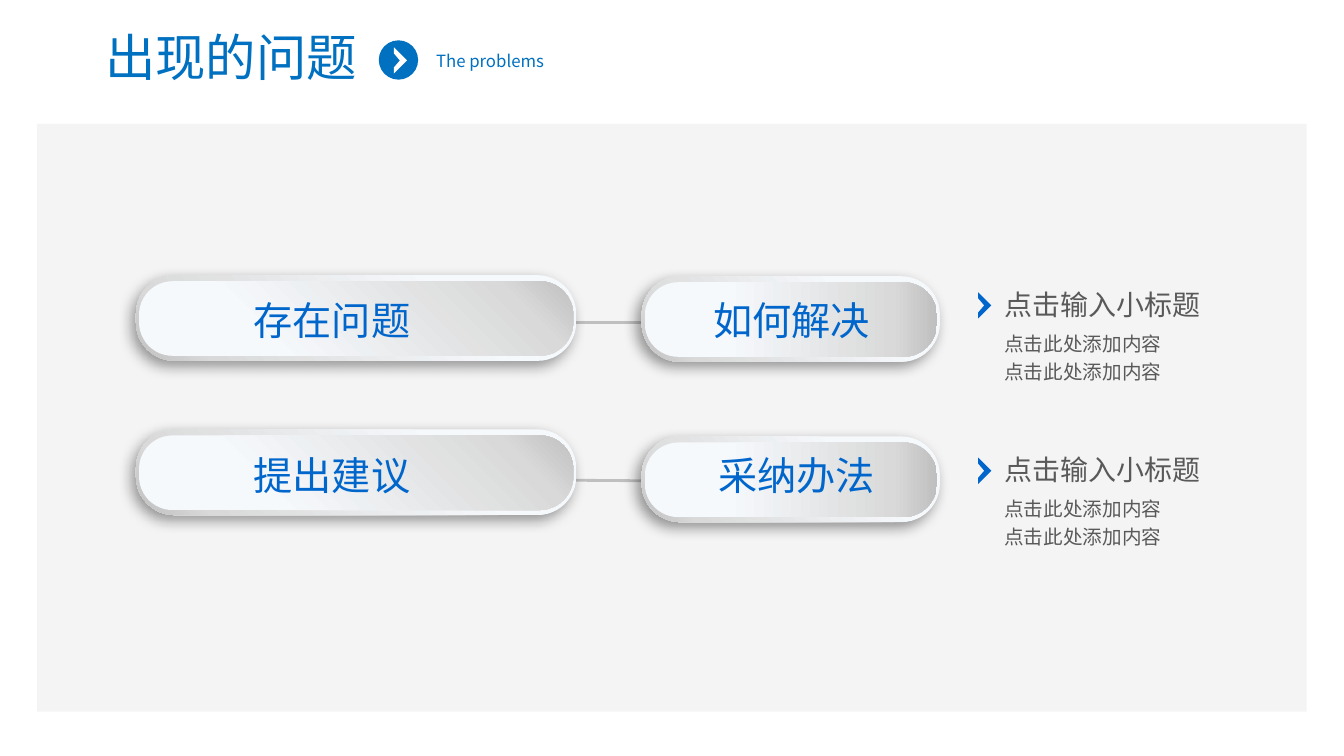
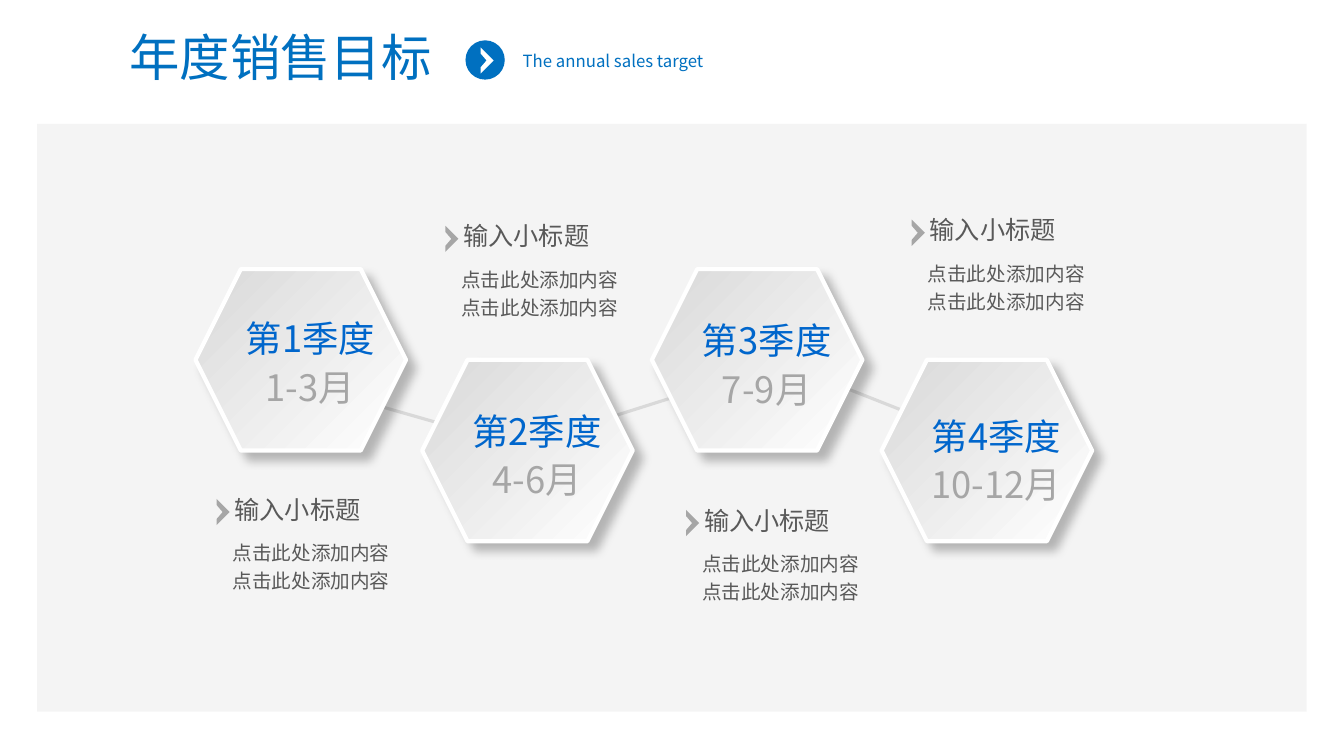
from lxml.etree import SubElement
from pptx import Presentation
from pptx.dml.color import RGBColor
from pptx.enum.shapes import MSO_CONNECTOR, MSO_SHAPE
from pptx.enum.text import MSO_AUTO_SIZE, PP_ALIGN
from pptx.oxml.ns import qn
from pptx.util import Inches, Pt

FONT = "Noto Sans CJK SC"
COLORS = {
    "title": "0070C0",
    "accent": "0066CC",
    "text": "595959",
    "muted": "A6A6A6",
    "panel": "F2F2F2",
    "white": "FFFFFF",
    "pill_link": "BFBFBF",
    "hexagon_link": "D9D9D9",
    "shadow": "000000",
}
PILL_STOPS = [(28, "F6F9FC"), (85, "D9D9D9"), (100, "BFBFBF")]
HEXAGON_STOPS = [(0, "D9D9D9"), (100, "FFFFFF")]
CHEVRON = [(0, 0), (0.13, 0.13), (0, 0.26), (0, 0.2), (0.06, 0.13), (0, 0.06)]
BODY = ["点击此处添加内容", "点击此处添加内容"]

PROBLEMS = {"title": "出现的问题", "subtitle": "The problems", "title_width": 3.07, "badge_left": 3.76}
PILL_LINKS = [(5.25, 3.2, 6.83, 3.2), (5.09, 4.76, 6.42, 4.77)]
PILLS = [
    ("存在问题", 1.35, 2.73, 4.37, 315, 2.13, 2.89),
    ("提出建议", 1.35, 4.26, 4.37, 315, 2.13, 4.43),
    ("如何解决", 6.37, 2.74, 2.96, 0, 6.69, 2.89),
    ("采纳办法", 6.37, 4.33, 2.96, 0, 6.74, 4.43),
]
PROBLEM_NOTE = {
    "heading": "点击输入小标题", "size": 20, "color": "accent",
    "heading_offset": (0.16, -0.1), "body_offset": (0.16, 0.3), "width": 2.71,
}
PROBLEM_NOTE_PLACES = [(9.71, 2.9), (9.71, 4.54)]

TARGETS = {"title": "年度销售目标", "subtitle": "The annual sales target", "title_width": 4.05, "badge_left": 4.62}
HEXAGON_LINKS = [(4.82, 4.33, 3.7, 4.01), (6.94, 3.86, 5.96, 4.17), (9.13, 4.14, 8.42, 3.86)]
QUARTERS = [
    ("第1季度", "1-3月", 1.94, 2.67, 0.42),
    ("第2季度", "4-6月", 4.19, 3.57, 0.44),
    ("第3季度", "7-9月", 6.47, 2.67, 0.44),
    ("第4季度", "10-12月", 8.75, 3.57, 0.49),
]
QUARTER_NOTE = {
    "heading": "输入小标题", "size": 18, "color": "muted",
    "heading_offset": (0.08, -0.1), "body_offset": (0.06, 0.32), "width": 1.78,
}
QUARTER_NOTE_PLACES = [(2.15, 4.95), (4.42, 2.24), (9.05, 2.18), (6.81, 5.06)]


def rgb(name):
    return RGBColor.from_string(COLORS[name])


def add_text(slide, lines, left, top, width, height, size, color, centered=False, spacing=None):
    box = slide.shapes.add_textbox(Inches(left), Inches(top), Inches(width), Inches(height))
    frame = box.text_frame
    frame.word_wrap = True
    frame.auto_size = MSO_AUTO_SIZE.SHAPE_TO_FIT_TEXT
    frame.text = "\n".join(lines)
    for paragraph in frame.paragraphs:
        paragraph.alignment = PP_ALIGN.CENTER if centered else PP_ALIGN.LEFT
        if spacing:
            paragraph.line_spacing = Pt(spacing)
        paragraph.font.name = FONT
        paragraph.font.size = Pt(size)
        paragraph.font.color.rgb = rgb(color)
        defaults = paragraph._p.pPr.find(qn("a:defRPr"))
        SubElement(defaults, qn("a:ea"), typeface=FONT)


def add_preset(slide, preset, left, top, width, height):
    shape = slide.shapes.add_shape(preset, Inches(left), Inches(top), Inches(width), Inches(height))
    shape.shadow.inherit = False
    shape.line.fill.background()
    return shape


def fill_solid(shape, color):
    shape.fill.solid()
    shape.fill.fore_color.rgb = rgb(color)


def fill_gradient(shape, stops, angle):
    shape.fill.gradient()
    gradient = shape._element.spPr.find(qn("a:gradFill"))
    for child in list(gradient):
        gradient.remove(child)
    stop_list = SubElement(gradient, qn("a:gsLst"))
    for position, color in stops:
        stop = SubElement(stop_list, qn("a:gs"), pos=str(position * 1000))
        SubElement(stop, qn("a:srgbClr"), val=color)
    SubElement(gradient, qn("a:lin"), ang=str(angle * 60000), scaled="0")


def set_alpha(color_element, percent):
    SubElement(color_element, qn("a:alpha"), val=str(percent * 1000))


def cast_shadow(shape, alpha, blur, distance, angle):
    effects = shape._element.spPr.find(qn("a:effectLst"))
    shadow = SubElement(
        effects, qn("a:outerShdw"), blurRad=str(Pt(blur)), dist=str(Pt(distance)),
        dir=str(angle * 60000), algn="ctr", rotWithShape="0",
    )
    set_alpha(SubElement(shadow, qn("a:srgbClr"), val=COLORS["shadow"]), alpha)


def add_chevron(slide, left, top, color):
    points = [(Inches(left + x), Inches(top + y)) for x, y in CHEVRON]
    builder = slide.shapes.build_freeform(*points[0])
    builder.add_line_segments(points[1:], close=True)
    chevron = builder.convert_to_shape()
    chevron.shadow.inherit = False
    chevron.line.fill.background()
    fill_solid(chevron, color)


def add_links(slide, links, color, width):
    for link in links:
        connector = slide.shapes.add_connector(MSO_CONNECTOR.STRAIGHT, *map(Inches, link))
        connector.line.color.rgb = rgb(color)
        connector.line.width = Pt(width)
        SubElement(connector._element.spPr, qn("a:effectLst"))


def add_base_slide(presentation, header):
    slide = presentation.slides.add_slide(presentation.slide_layouts[6])
    badge_left = header["badge_left"]
    badge = add_preset(slide, MSO_SHAPE.OVAL, badge_left, 0.4, 0.39, 0.39)
    fill_solid(badge, "title")
    add_chevron(slide, badge_left + 0.15, 0.47, "white")
    add_text(slide, [header["subtitle"]], badge_left + 0.47, 0.45, 2.5, 0.3, 12, "title")
    add_text(slide, [header["title"]], 0.76, 0.21, header["title_width"], 0.71, 36, "title", centered=True)
    panel = add_preset(slide, MSO_SHAPE.RECTANGLE, 0.37, 1.23, 12.6, 5.83)
    fill_solid(panel, "panel")
    set_alpha(panel._element.spPr.find(qn("a:solidFill"))[0], 78)
    return slide


def add_notes(slide, style, places):
    heading_x, heading_y = style["heading_offset"]
    body_x, body_y = style["body_offset"]
    for left, top in places:
        add_text(slide, BODY, left + body_x, top + body_y, style["width"], 0.66, 14, "text", spacing=20)
        add_chevron(slide, left, top, style["color"])
        add_text(slide, [style["heading"]], left + heading_x, top + heading_y,
                 style["width"], 0.44, style["size"], "text")


def add_pill(slide, label, left, top, width, inner_angle, label_left, label_top):
    rim = add_preset(slide, MSO_SHAPE.ROUNDED_RECTANGLE, left, top, width, 0.85)
    fill_gradient(rim, PILL_STOPS, 135)
    cast_shadow(rim, 40, 10, 5, 135)
    face = add_preset(slide, MSO_SHAPE.ROUNDED_RECTANGLE, left + 0.03, top + 0.06, width - 0.06, 0.74)
    fill_gradient(face, PILL_STOPS, inner_angle)
    for part in (rim, face):
        part.adjustments[0] = 0.45
    add_text(slide, [label], label_left, label_top, 2.33, 0.57, 28, "accent", centered=True)


def add_quarter(slide, quarter, months, left, top, label_offset):
    hexagon = add_preset(slide, MSO_SHAPE.HEXAGON, left, top, 2.09, 1.8)
    fill_gradient(hexagon, HEXAGON_STOPS, 45)
    hexagon.line.color.rgb = rgb("white")
    hexagon.line.width = Pt(3)
    cast_shadow(hexagon, 25, 7, 8, 45)
    label_top = top + label_offset
    add_text(slide, [quarter], left + 0.2, label_top, 1.88, 0.54, 26, "accent", centered=True)
    add_text(slide, [months], left + 0.2, label_top + 0.48, 1.88, 0.54, 26, "muted", centered=True)


def main():
    presentation = Presentation()
    presentation.slide_width = Inches(13.34)
    presentation.slide_height = Inches(7.5)

    problems = add_base_slide(presentation, PROBLEMS)
    add_links(problems, PILL_LINKS, "pill_link", 2)
    for pill in PILLS:
        add_pill(problems, *pill)
    add_notes(problems, PROBLEM_NOTE, PROBLEM_NOTE_PLACES)

    targets = add_base_slide(presentation, TARGETS)
    add_links(targets, HEXAGON_LINKS, "hexagon_link", 2.25)
    for quarter in QUARTERS:
        add_quarter(targets, *quarter)
    add_notes(targets, QUARTER_NOTE, QUARTER_NOTE_PLACES)

    presentation.save("out.pptx")


if __name__ == "__main__":
    main()
